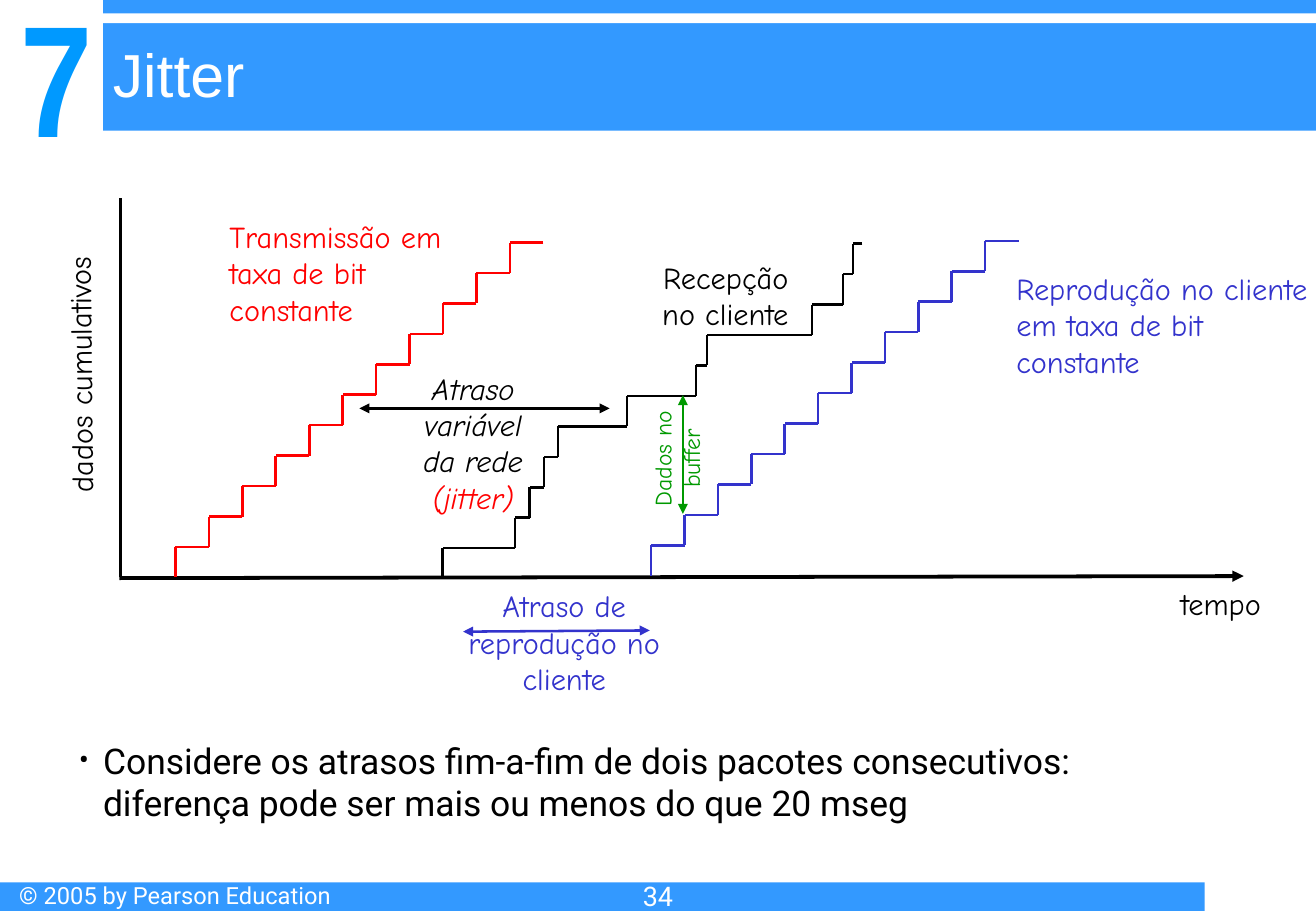
from lxml import etree
from pptx import Presentation
from pptx.dml.color import RGBColor
from pptx.enum import shapes, text
from pptx.oxml import ns
from pptx.util import Pt

COLORS = {
    "black": "000000", "white": "FFFFFF", "red": "FF0000", "violet": "3333CC",
    "green": "009900", "band": "3399FF", "chapter": "0099FF",
}
LEFT, CENTER, RIGHT = text.PP_ALIGN.LEFT, text.PP_ALIGN.CENTER, text.PP_ALIGN.RIGHT
HAND = "Comic Neue"

prs = Presentation()
prs.slide_width, prs.slide_height = Pt(780.13), Pt(540)
s = prs.slides.add_slide(prs.slide_layouts[6])


def add_line(x1, y1, x2, y2, color, width=1.5, ends=()):
    """Draw a straight line; ends holds "headEnd" and/or "tailEnd" for arrowheads."""
    c = s.shapes.add_connector(
        shapes.MSO_CONNECTOR.STRAIGHT, Pt(x1), Pt(y1), Pt(x2), Pt(y2))
    c.line.color.rgb = RGBColor.from_string(COLORS[color])
    c.line.width = Pt(width)
    for end in ends:
        etree.SubElement(c.line._get_or_add_ln(), ns.qn(f"a:{end}"), type="triangle")
    etree.SubElement(c._element.spPr, ns.qn("a:effectLst"))


def add_text(box, lines, size, color, font=HAND, align=LEFT, wrap=False,
             bold=False, italic=False, rotation=0, anchor=text.MSO_ANCHOR.TOP):
    """Add a text box at box (left, top, width, height), one paragraph per line."""
    sp = s.shapes.add_textbox(*(Pt(v) for v in box))
    sp.rotation = rotation
    tf = sp.text_frame
    tf.word_wrap = wrap
    tf.vertical_anchor = anchor
    for i, line in enumerate(lines):
        p = tf.paragraphs[0] if i == 0 else tf.add_paragraph()
        p.alignment = align
        r = p.add_run()
        r.text = line
        r.font.name, r.font.size = font, Pt(size)
        r.font.bold, r.font.italic = bold, italic
        r.font.color.rgb = RGBColor.from_string(COLORS[color])
    return tf


# Header and footer bands
for left, top, width, height, color in [
    (61.2, -0.7, 720, 78.2, "band"),
    (61.2, 7.9, 720, 5.8, "white"),
    (0, 523, 714.2, 17.7, "band"),
]:
    band = s.shapes.add_shape(
        shapes.MSO_SHAPE.RECTANGLE, Pt(left), Pt(top), Pt(width), Pt(height))
    band.shadow.inherit = False
    band.fill.solid()
    band.fill.fore_color.rgb = RGBColor.from_string(COLORS[color])
    band.line.fill.background()

chapter = add_text((3.6, -12.6, 59.8, 113), ["7"], 94, "chapter", "Arial Narrow",
                   CENTER, wrap=True, bold=True, anchor=text.MSO_ANCHOR.BOTTOM)
chapter.margin_left = chapter.margin_right = 0
chapter.margin_top = chapter.margin_bottom = 0
add_text((59.8, 15, 720.3, 56.9), ["Jitter"], 36, "white", "Arial",
         wrap=True, anchor=text.MSO_ANCHOR.MIDDLE)
add_text((4.3, 518.8, 239.8, 24.5), ["© 2005 by Pearson Education"], 14, "white",
         "Roboto", wrap=True)
add_text((0, 518, 780, 36), ["34"], 16, "white", "Roboto", CENTER, wrap=True)

# Axes
add_line(71.5, 117.4, 71.5, 342, "black", 2.25)
add_line(737.3, 341.5, 70.8, 342.7, "black", 2.25, ["headEnd"])
add_text((-47, 190.3, 188.6, 28.8), ["dados cumulativos"], 18, "black",
         wrap=True, rotation=269.4)
add_text((692.8, 343.2, 62.6, 28.8), ["tempo"], 18, "black")

# Staircases: constant-rate ones have equal treads, the received one does not
RISE = 18.05
sent = [104 + 19.83 * i for i in range(12)]
received = [262.4, 305.3, 314, 322.6, 330.7, 371.8, 412.6, 419, 481.3, 499.7,
            505.6, 511.2]
played = [386 + 19.8 * i for i in range(12)]
for treads, base, color in [
    (sent, 342.3, "red"), (received, 343, "black"), (played, 341.3, "violet"),
]:
    for step, (x, next_x) in enumerate(zip(treads, treads[1:])):
        y = base - RISE * step
        add_line(x, y - RISE, x, y, color)
        add_line(next_x, y - RISE, x, y - RISE, color)

# Labels and delay arrows
add_text((128.9, 125.6, 140.4, 72),
         ["Transmissão em", "taxa de bit", "constante"], 18, "red")
delay = add_text((243.4, 215.6, 74.2, 93.6),
                 ["Atraso", "variável", "da rede", "(jitter)"], 18, "black",
                 align=CENTER, italic=True)
delay.paragraphs[3].runs[0].font.color.rgb = RGBColor.from_string(COLORS["red"])
add_text((385.2, 149.9, 89.3, 50.4), ["Recepção", "no cliente"], 18, "black",
         align=RIGHT)
add_text((595.4, 156.6, 187, 72),
         ["Reprodução no cliente", "em taxa de bit", "constante"], 18, "violet")
add_text((262.8, 344.6, 143.3, 72), ["Atraso de", "reprodução no cliente"], 18,
         "violet", align=CENTER, wrap=True)
add_text((356.1, 251.3, 90, 41), ["Dados no", "buffer"], 14, "green",
         align=CENTER, rotation=270)
for x1, y1, x2, y2, color in [
    (213.1, 242.1, 361.4, 242.1, "black"),
    (274.5, 374.4, 385.2, 373.7, "violet"),
    (404.8, 304.6, 404.8, 234.2, "green"),
]:
    add_line(x1, y1, x2, y2, color, ends=["headEnd", "tailEnd"])

# Bulleted remark
remark = add_text(
    (39.6, 434.4, 663.1, 69.8),
    ["Considere os atrasos fim-a-fim de dois pacotes consecutivos: "
     "diferença pode ser mais ou menos do que 20 mseg"],
    21, "black", "Roboto", wrap=True)
pPr = remark.paragraphs[0]._p.get_or_add_pPr()
pPr.set("marL", str(Pt(14.4)))
pPr.set("indent", str(-Pt(14.4)))
bullet_color = etree.SubElement(pPr, ns.qn("a:buClr"))
etree.SubElement(bullet_color, ns.qn("a:srgbClr"), val=COLORS["black"])
etree.SubElement(pPr, ns.qn("a:buSzPct"), val="85000")
etree.SubElement(pPr, ns.qn("a:buFont"), typeface="Roboto")
etree.SubElement(pPr, ns.qn("a:buChar"), char="•")

prs.save("out.pptx")
